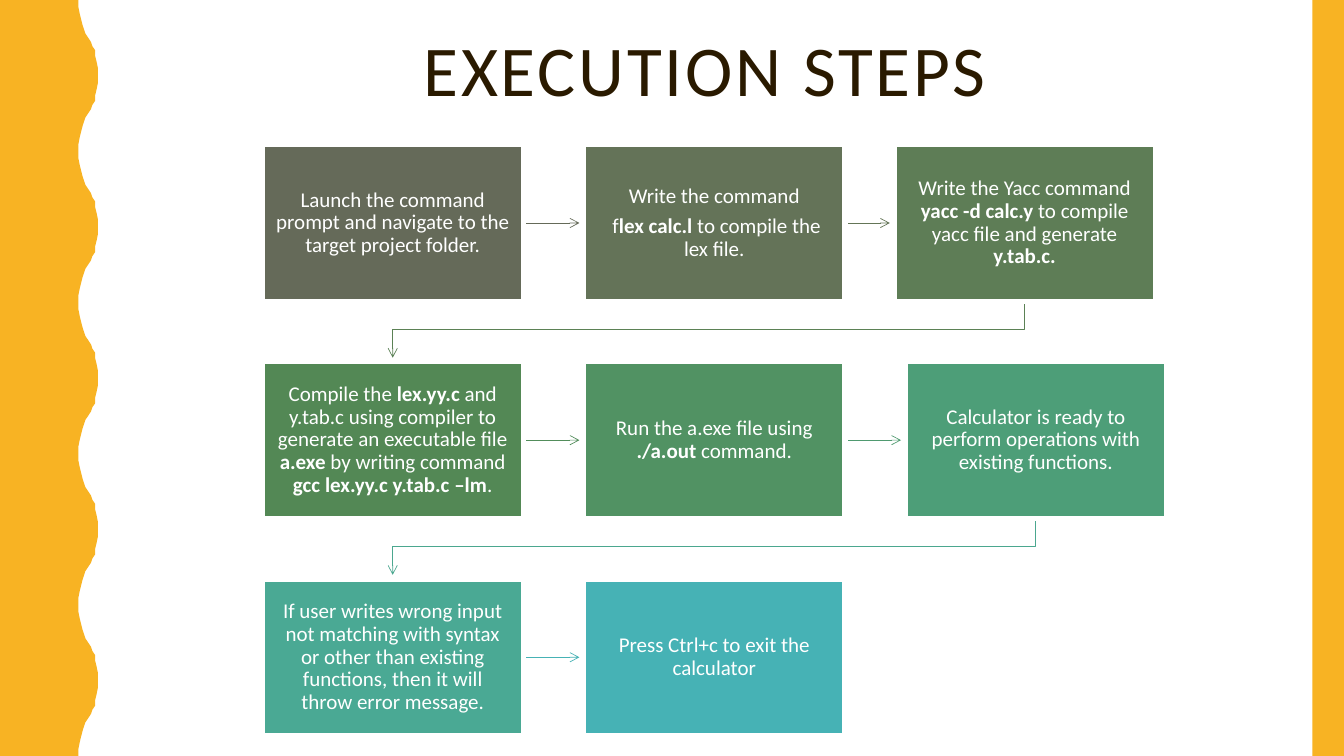
from pptx import Presentation
from pptx.dml.color import RGBColor
from pptx.enum.shapes import MSO_CONNECTOR, MSO_SHAPE
from pptx.enum.text import MSO_ANCHOR, PP_ALIGN
from pptx.oxml.ns import qn
from pptx.util import Pt
from lxml.etree import SubElement

TITLE = "EXECUTION STEPS"
STEPS = [
    {"fill": "656A59", "arrow": "656A59", "text": [
        [("Launch the command prompt and navigate to the target project folder.", False)]]},
    {"fill": "647358", "arrow": "647557", "text": [
        [("Write the command", False)],
        [(" f", False), ("lex calc.l", True), (" to compile the lex file.", False)]]},
    {"fill": "5E7D56", "arrow": "5B8155", "shift": -8, "text": [
        [("Write the Yacc command ", False), ("yacc -d calc.y", True),
         (" to compile yacc file and generate ", False), ("y.tab.c.", True)]]},
    {"fill": "538855", "arrow": "528D5B", "text": [
        [("Compile the ", False), ("lex.yy.c", True),
         (" and y.tab.c using compiler to generate an executable file ", False),
         ("a.exe", True), (" by writing command ", False),
         ("gcc lex.yy.c y.tab.c –lm", True), (".", False)]]},
    {"fill": "519263", "arrow": "4F9A70", "text": [
        [("Run the a.exe file using ", False), ("./a.out ", True), ("command.", False)]]},
    {"fill": "4D9E78", "arrow": "4BA78F", "text": [
        [("Calculator is ready to perform operations with existing functions.", False)]]},
    {"fill": "4AA994", "arrow": "46B2B5", "text": [
        [("If user writes wrong input not matching with syntax or other than existing "
          "functions, then it will throw error message.", False)]]},
    {"fill": "46B2B5", "text": [[("Press Ctrl+c to exit the calculator", False)]]},
]
THEME = {"font": "Calibri", "accent": "F8B323", "title": "2A1A00", "light": "FFFFFF",
         "title_size": 51, "step_size": 15, "border": 4, "arrow": 0.5}

WIDTH, HEIGHT = 960, 540
COLS, LEFT, TOP = 3, 187, 103.2
BOX_W, BOX_H, PITCH_X, PITCH_Y = 187, 112.2, 229.7, 155.1
ARROW_GAP, INSET = 2.8, 9.4
WAVE_X, WAVE_DEPTH, WAVE_PERIOD = 56.2, 13.7, 108
WAVE_QUARTER = [(0, 0), (0.3, 5), (0.8, 10), (1.5, 14.4), (2.4, 18),
                (3.6, 21), (5, 24), (6.85, 27)]


def rgb(value):
    return RGBColor.from_string(value)


def apply(target, values):
    for name, value in values.items():
        setattr(target, name, value)


def add_rect(s, x, y, w, h, fill):
    sp = s.shapes.add_shape(MSO_SHAPE.RECTANGLE, Pt(x), Pt(y), Pt(w), Pt(h))
    paint(sp, fill)
    return sp


def paint(sp, fill):
    sp.shadow.inherit = False
    sp.fill.solid()
    sp.fill.fore_color.rgb = rgb(fill)
    sp.line.fill.background()


def add_run(p, text, size, color, bold=False):
    r = p.add_run()
    r.text = text
    apply(r.font, {"name": THEME["font"], "size": Pt(size), "bold": bold})
    r.font.color.rgb = rgb(color)
    return r


def add_wave(s):
    half = WAVE_QUARTER + [(WAVE_DEPTH - x, WAVE_PERIOD / 2 - y)
                           for x, y in reversed(WAVE_QUARTER[:-1])]
    wave = half + [(x, WAVE_PERIOD - y) for x, y in reversed(half[:-1])]
    edge = [(WAVE_X + x, start + y)
            for start in range(0, HEIGHT, WAVE_PERIOD) for x, y in wave]
    fb = s.shapes.build_freeform(0, 0, scale=Pt(1))
    fb.add_line_segments(edge + [(0, HEIGHT)], close=True)
    paint(fb.convert_to_shape(), THEME["accent"])


def add_title(s):
    sp = s.shapes.add_textbox(Pt(103), Pt(15.8), Pt(801.4), Pt(72.7))
    tf = sp.text_frame
    apply(tf, {"word_wrap": True, "vertical_anchor": MSO_ANCHOR.MIDDLE})
    p = tf.paragraphs[0]
    apply(p, {"alignment": PP_ALIGN.CENTER, "line_spacing": 0.9})
    r = add_run(p, TITLE, THEME["title_size"], THEME["title"])
    r.font._element.set("spc", "200")


def box_at(i):
    row, col = divmod(i, COLS)
    return LEFT + col * PITCH_X + STEPS[i].get("shift", 0), TOP + row * PITCH_Y


def add_arrow(s, i):
    (x, y), (next_x, next_y) = box_at(i), box_at(i + 1)
    if next_y == y:
        mid = y + BOX_H / 2
        kind, turn = MSO_CONNECTOR.STRAIGHT, None
        ends = x + BOX_W, mid, next_x - ARROW_GAP, mid
    else:
        start_y, end_y = y + BOX_H, next_y - ARROW_GAP
        drop, run = end_y - start_y, x - next_x
        cx, cy = (x + next_x + BOX_W) / 2, (start_y + end_y) / 2
        kind, turn = MSO_CONNECTOR.ELBOW, "5400000"
        ends = cx - drop / 2, cy - run / 2, cx + drop / 2, cy + run / 2
    cn = s.shapes.add_connector(kind, *(Pt(v) for v in ends))
    cn.line.width = Pt(THEME["arrow"])
    cn.line.color.rgb = rgb(STEPS[i]["arrow"])
    pr = cn._element.spPr
    if turn:
        pr.find(qn("a:xfrm")).set("rot", turn)
    SubElement(pr.find(qn("a:ln")), qn("a:tailEnd"), type="arrow")
    SubElement(pr, qn("a:effectLst"))


def add_step(s, i):
    step = STEPS[i]
    sp = add_rect(s, *box_at(i), BOX_W, BOX_H, step["fill"])
    sp.line.color.rgb = rgb(THEME["light"])
    sp.line.width = Pt(THEME["border"])
    tf = sp.text_frame
    apply(tf, {"word_wrap": True, "vertical_anchor": MSO_ANCHOR.MIDDLE,
               "margin_left": Pt(INSET), "margin_right": Pt(INSET),
               "margin_top": Pt(INSET), "margin_bottom": Pt(INSET)})
    for n, runs in enumerate(step["text"]):
        p = tf.add_paragraph() if n else tf.paragraphs[0]
        apply(p, {"alignment": PP_ALIGN.CENTER, "line_spacing": 0.9,
                  "space_after": Pt(0.35 * THEME["step_size"])})
        for text, bold in runs:
            add_run(p, text, THEME["step_size"], THEME["light"], bold)


def main():
    prs = Presentation()
    apply(prs, {"slide_width": Pt(WIDTH), "slide_height": Pt(HEIGHT)})
    s = prs.slides.add_slide(prs.slide_layouts[6])
    add_title(s)
    add_wave(s)
    add_rect(s, 937.5, 0, 22.5, HEIGHT, THEME["accent"])
    for i in range(len(STEPS)):
        if "arrow" in STEPS[i]:
            add_arrow(s, i)
        add_step(s, i)
    prs.save("out.pptx")


if __name__ == "__main__":
    main()
